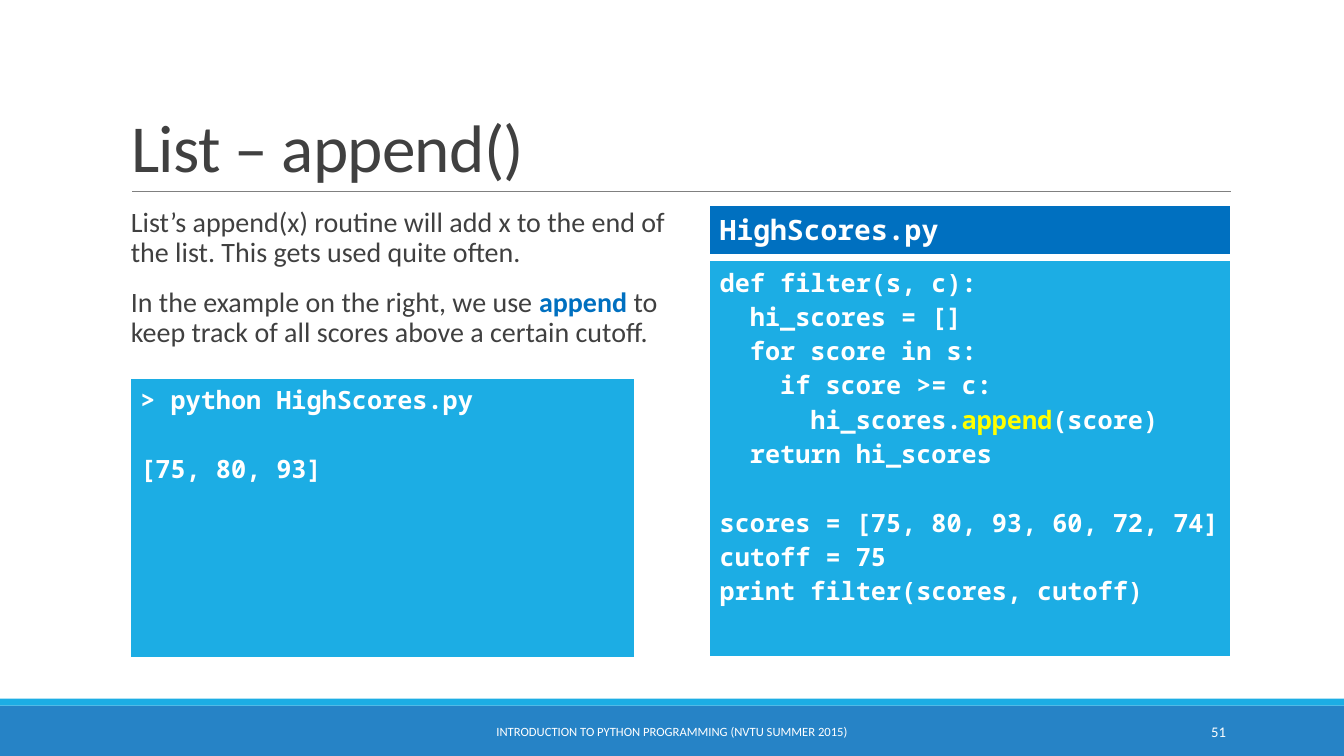
from lxml import etree
from pptx import Presentation
from pptx.dml.color import RGBColor
from pptx.enum.shapes import MSO_CONNECTOR, MSO_SHAPE
from pptx.enum.text import MSO_ANCHOR, MSO_AUTO_SIZE, PP_ALIGN
from pptx.oxml.ns import qn
from pptx.util import Pt

RECTANGLE, STRAIGHT = MSO_SHAPE.RECTANGLE, MSO_CONNECTOR.STRAIGHT
TOP, MIDDLE, BOTTOM = MSO_ANCHOR.TOP, MSO_ANCHOR.MIDDLE, MSO_ANCHOR.BOTTOM
LEFT, CENTER, RIGHT = PP_ALIGN.LEFT, PP_ALIGN.CENTER, PP_ALIGN.RIGHT
NO_AUTOFIT = MSO_AUTO_SIZE.NONE

WHITE = RGBColor(0xFF, 0xFF, 0xFF)
INK = RGBColor(0x40, 0x40, 0x40)
GRAY = RGBColor(0x80, 0x80, 0x80)
SKY = RGBColor(0x1C, 0xAD, 0xE4)
BAND_BLUE = RGBColor(0x26, 0x83, 0xC6)
DEEP_BLUE = RGBColor(0x00, 0x70, 0xC0)
YELLOW = RGBColor(0xFF, 0xFF, 0x00)

SANS, MONO = "Calibri", "Noto Sans Mono"
WIDTH, HEIGHT = 960, 540
CODE_SIZE = 18
CODE_LINE = 24.5
CODE_INDENT = 21.6

# Each code line: indent level, blank lines above, text
PROGRAM = [
    (0, 0, "def filter(s, c):"),
    (1, 0, "hi_scores = []"),
    (1, 0, "for score in s:"),
    (2, 0, "if score >= c:"),
    (3, 0, "hi_scores.*append*(score)"),
    (1, 0, "return hi_scores"),
    (0, 1, "scores = [75, 80, 93, 60, 72, 74]"),
    (0, 0, "cutoff = 75"),
    (0, 0, "print filter(scores, cutoff)"),
]
CONSOLE = [(0, 0, "> python HighScores.py"), (0, 1, "[75, 80, 93]")]
EXPLANATION = [
    "List’s append(x) routine will add x to the end of the list. This gets used quite often.",
    "In the example on the right, we use *append* to keep track of all scores "
    "above a certain cutoff.",
]


def write(paragraph, text, font=SANS, size=20, color=INK, bold=False,
          highlight=None, align=LEFT, line=1.0, before=0, after=0, indent=0):
    """Fill a paragraph; words between asterisks are bold in the highlight colour."""
    paragraph.alignment = align
    paragraph.line_spacing = line
    paragraph.space_before, paragraph.space_after = Pt(before), Pt(after)
    if indent:
        paragraph._p.get_or_add_pPr().set("marL", str(Pt(indent)))
    for index, part in enumerate(text.split("*")):
        marked = index % 2 == 1
        run = paragraph.add_run()
        run.text = part
        run.font.name, run.font.size = font, Pt(size)
        run.font.bold = bold or marked
        run.font.color.rgb = highlight if marked else color


def paragraph_at(frame, index):
    return frame.paragraphs[0] if index == 0 else frame.add_paragraph()


def add_text_frame(slide, box, anchor=TOP):
    frame = slide.shapes.add_textbox(*map(Pt, box)).text_frame
    frame.word_wrap = True
    frame.vertical_anchor = anchor
    return frame


def add_title(slide, box):
    """Place the title with the rule along the bottom of its box."""
    left, top, width, height = box
    title = slide.shapes.title
    title.left, title.top, title.width, title.height = map(Pt, box)
    frame = title.text_frame
    frame.auto_size = NO_AUTOFIT
    frame.vertical_anchor = BOTTOM
    write(frame.paragraphs[0], "List – append()", size=48, line=0.85)
    frame.paragraphs[0].runs[0].font._element.set("spc", "-50")

    y = Pt(top + height)
    rule = slide.shapes.add_connector(STRAIGHT, Pt(left + 8), y, Pt(left + width + 0.7), y)
    rule.line.color.rgb, rule.line.width = GRAY, Pt(0.5)
    etree.SubElement(rule._element.spPr, qn("a:effectLst"))


def add_explanation(slide, box):
    frame = add_text_frame(slide, box)
    frame.margin_right = 0
    for index, text in enumerate(EXPLANATION):
        write(paragraph_at(frame, index), text, highlight=DEEP_BLUE, line=0.9,
              before=12 if index else 0, after=2)


def add_borders(cell):
    properties = cell._tc.get_or_add_tcPr()
    for side, width in (("L", 1), ("R", 1), ("T", 1), ("B", 3)):
        border = etree.SubElement(properties, qn(f"a:ln{side}"), w=str(Pt(width)))
        fill = etree.SubElement(border, qn("a:solidFill"))
        etree.SubElement(fill, qn("a:srgbClr"), val=str(WHITE))


def add_code_panel(slide, box, lines, fill=SKY, size=CODE_SIZE):
    """Draw a one-cell table holding lines of code."""
    table = slide.shapes.add_table(1, 1, *map(Pt, box)).table
    table.first_row = table.horz_banding = False
    cell = table.cell(0, 0)
    add_borders(cell)
    cell.fill.solid()
    cell.fill.fore_color.rgb = fill
    for index, (level, blanks, text) in enumerate(lines):
        write(paragraph_at(cell.text_frame, index), text, font=MONO, size=size,
              color=WHITE, bold=True, highlight=YELLOW,
              before=blanks * CODE_LINE, indent=level * CODE_INDENT)


def add_listing(slide, box):
    """Stack the file name above its program."""
    left, top, width, height = box
    name_height, gap = 36, 2.9
    offset = name_height + gap
    add_code_panel(slide, (left, top + offset, width, height - offset), PROGRAM)
    add_code_panel(slide, (left, top, width, name_height), [(0, 0, "HighScores.py")],
                   fill=DEEP_BLUE, size=20)


def add_footer(slide, box):
    left, top, width, height = box
    stripe = 5
    for y, band_height, color in ((top + stripe, height - stripe, BAND_BLUE),
                                  (top, stripe, SKY)):
        band = slide.shapes.add_shape(RECTANGLE, Pt(left), Pt(y), Pt(width), Pt(band_height))
        band.shadow.inherit = False
        band.fill.solid()
        band.fill.fore_color.rgb = color
        band.line.fill.background()
    for x, text_width, text, size, align in (
            (779.8, 103, "51", 10.5, RIGHT),
            (290.2, 379.4, "INTRODUCTION TO PYTHON PROGRAMMING (NVTU SUMMER 2015)", 9, CENTER)):
        frame = add_text_frame(slide, (left + x, top + 9.3, text_width, 28.8), anchor=MIDDLE)
        write(frame.paragraphs[0], text, size=size, color=WHITE, align=align)


def main():
    deck = Presentation()
    deck.slide_width, deck.slide_height = Pt(WIDTH), Pt(HEIGHT)
    slide = deck.slides.add_slide(deck.slide_layouts[5])
    add_footer(slide, (0, 499, WIDTH, 41))
    add_title(slide, (86.4, 22.3, 792, 114.5))
    add_listing(slide, (506.9, 146.9, 372.2, 323.3))
    add_code_panel(slide, (93, 270, 360, 200.6), CONSOLE)
    add_explanation(slide, (86.4, 145.4, 393.8, 316.8))
    deck.save("out.pptx")


if __name__ == "__main__":
    main()
